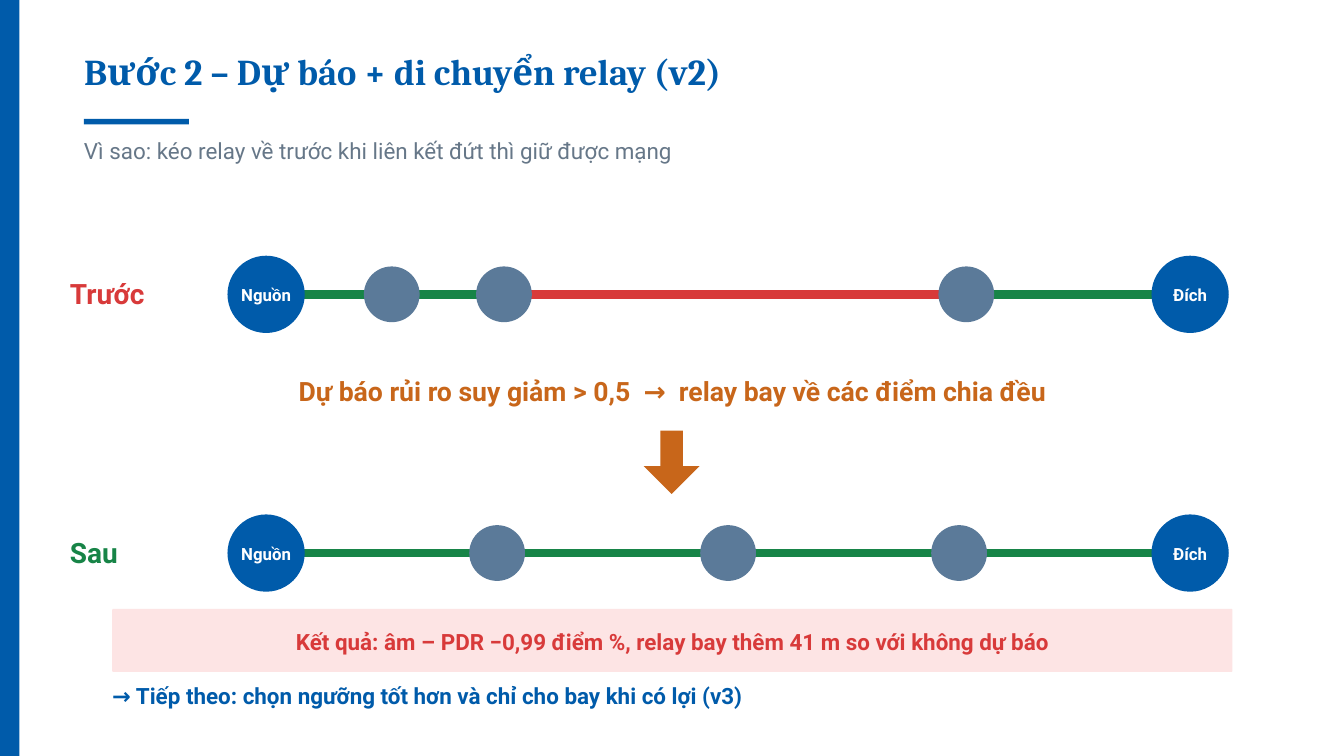
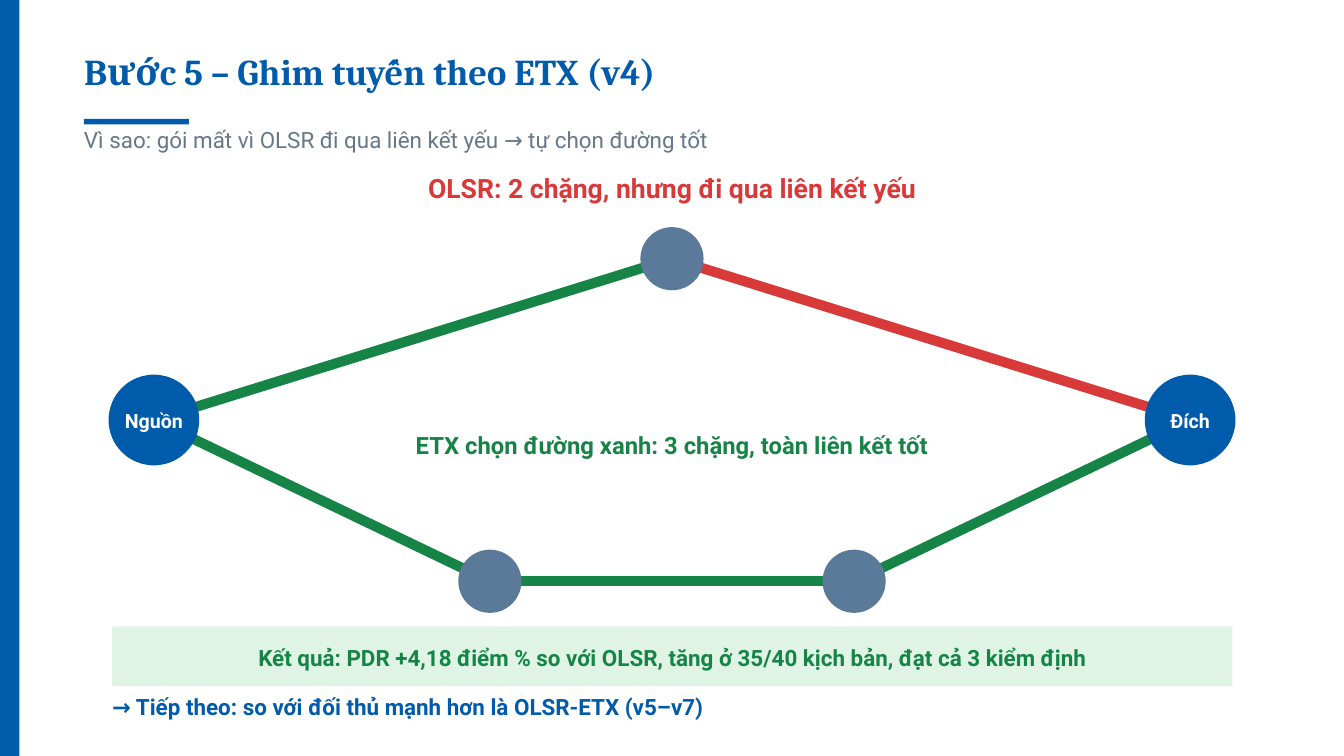
"""Builds two slides on relay forecasting and ETX route pinning in a mesh network."""
from lxml import etree
from pptx import Presentation
from pptx.dml.color import RGBColor
from pptx.enum import shapes, text
from pptx.oxml import ns
from pptx.util import Inches, Pt

BLUE = RGBColor(0x00, 0x5B, 0xAA)
SLATE = RGBColor(0x5B, 0x7A, 0x99)
GREY = RGBColor(0x66, 0x77, 0x88)
GREEN = RGBColor(0x17, 0x84, 0x47)
RED = RGBColor(0xD8, 0x3A, 0x3A)
ORANGE = RGBColor(0xC8, 0x66, 0x1A)
WHITE = RGBColor(0xFF, 0xFF, 0xFF)
PALE_RED = RGBColor(0xFD, 0xE4, 0xE4)
PALE_GREEN = RGBColor(0xDF, 0xF4, 0xE5)

HEAD_FONT, BODY_FONT = "Cambria", "Roboto"
WIDTH, HEIGHT = 20, 11.25
LEFT, INDENT, BAND_WIDTH = 1.25, 1.67, 16.67
SOURCE_X, TARGET_X = 3.96, 17.71
BEFORE_Y, AFTER_Y = 4.38, 8.23
EVEN_GAP = (TARGET_X - SOURCE_X) / 4
CENTER, START = text.PP_ALIGN.CENTER, text.PP_ALIGN.LEFT
SHAPE = shapes.MSO_SHAPE

FORECAST = {
    "title": "Bước 2 – Dự báo + di chuyển relay (v2)",
    "reason": ("Vì sao: kéo relay về trước khi liên kết đứt thì giữ được mạng", 1.97),
    "result": ("Kết quả: âm – PDR −0,99 điểm %, relay bay thêm 41 m so với không dự báo",
               9.06, 0.94, RED, PALE_RED),
    "next": ("→ Tiếp theo: chọn ngưỡng tốt hơn và chỉ cho bay khi có lợi (v3)", 10.09),
    "notes": [
        ("Trước", 1.04, 4.03, 2.08, 30, RED, START),
        ("Sau", 1.04, 7.89, 2.08, 30, GREEN, START),
        ("Dự báo rủi ro suy giảm > 0,5  →  relay bay về các điểm chia đều",
         INDENT, 5.5, BAND_WIDTH, 28.5, ORANGE, CENTER),
    ],
}
BEFORE_XS = [SOURCE_X, 5.83, 7.5, 14.38, TARGET_X]
BEFORE_LINKS = [GREEN, GREEN, RED, GREEN]
AFTER_XS = [SOURCE_X + EVEN_GAP * step for step in range(5)]
CHAIN_STYLE = {"end_size": 1.15, "relay_size": 0.83, "label_size": 18, "link_width": 9}

PINNING = {
    "title": "Bước 5 – Ghim tuyến theo ETX (v4)",
    "reason": ("Vì sao: gói mất vì OLSR đi qua liên kết yếu → tự chọn đường tốt", 1.81),
    "result": ("Kết quả: PDR +4,18 điểm % so với OLSR, tăng ở 35/40 kịch bản, đạt cả 3 kiểm định",
               9.32, 0.89, GREEN, PALE_GREEN),
    "next": ("→ Tiếp theo: so với đối thủ mạnh hơn là OLSR-ETX (v5–v7)", 10.25),
    "notes": [
        ("OLSR: 2 chặng, nhưng đi qua liên kết yếu", 4.27, 2.48, 11.46, 28.5, RED, CENTER),
        ("ETX chọn đường xanh: 3 chặng, toàn liên kết tốt",
         4.79, 6.34, 10.42, 25.5, GREEN, CENTER),
    ],
}
SOURCE, TARGET = (2.29, 6.25), (17.71, 6.25)
OLSR_ROUTE = [SOURCE, (10, 3.85), TARGET]
ETX_ROUTE = [SOURCE, (7.29, 8.65), (12.71, 8.65), TARGET]
ROUTE_STYLE = {"end_size": 1.35, "relay_size": 0.94, "label_size": 21, "link_width": 10.8}


def write(frame, words, size, color, align=START, bold=True, font=BODY_FONT, leading=1.4):
    frame.text = words
    frame.margin_left = frame.margin_right = frame.margin_top = frame.margin_bottom = 0
    frame.word_wrap = True
    paragraph = frame.paragraphs[0]
    paragraph.alignment = align
    paragraph.line_spacing = Pt(round(size * leading, 1))
    paragraph.space_before = Pt(0)
    style = paragraph.runs[0].font
    style.name, style.size, style.bold = font, Pt(size), bold
    style.color.rgb = color


def add_note(slide, words, left, top, width, size, color, align=START, bold=True):
    box = slide.shapes.add_textbox(*map(Inches, (left, top, width, size / 51)))
    write(box.text_frame, words, size, color, align, bold)


def add_block(slide, kind, left, top, width, height, color):
    block = slide.shapes.add_shape(kind, *map(Inches, (left, top, width, height)))
    block.shadow.inherit = False
    block.fill.solid()
    block.fill.fore_color.rgb = color
    block.line.fill.background()
    return block


def write_centered(block, words, size, color, wrap=True):
    frame = block.text_frame
    write(frame, words, size, color, CENTER)
    frame.vertical_anchor = text.MSO_ANCHOR.MIDDLE
    frame.margin_bottom = Inches(0.04)
    frame.word_wrap = wrap


def add_link(slide, start, end, color, width):
    link = slide.shapes.add_connector(
        shapes.MSO_CONNECTOR.STRAIGHT, *map(Inches, (*start, *end)))
    link.line.color.rgb = color
    link.line.width = Pt(width)
    etree.SubElement(link._element.spPr, ns.qn("a:effectLst"))


def add_network(slide, routes, end_size, relay_size, label_size, link_width):
    labels = {}
    for points, colors in routes:
        for start, end, color in zip(points, points[1:], colors):
            add_link(slide, start, end, color, link_width)
        labels.update(dict.fromkeys(points, ""))
        labels.update({points[0]: "Nguồn", points[-1]: "Đích"})
    for (x, y), label in labels.items():
        size, color = (end_size, BLUE) if label else (relay_size, SLATE)
        node = add_block(slide, SHAPE.OVAL, x - size / 2, y - size / 2, size, size, color)
        if label:
            write_centered(node, label, label_size, WHITE, wrap=False)


def add_step(deck, content):
    slide = deck.slides.add_slide(deck.slide_layouts[5])
    add_block(slide, SHAPE.RECTANGLE, 0, 0, 0.29, HEIGHT, BLUE)
    title = slide.shapes.title
    title.left, title.top, title.width, title.height = map(Inches, (LEFT, 0.78, 14.58, 0.62))
    write(title.text_frame, content["title"], 39, BLUE, font=HEAD_FONT, leading=1.12)
    title.text_frame.vertical_anchor = text.MSO_ANCHOR.TOP
    title.text_frame.auto_size = text.MSO_AUTO_SIZE.NONE
    add_block(slide, SHAPE.RECTANGLE, LEFT, 1.77, 1.56, 0.08, BLUE)

    reason, reason_top = content["reason"]
    add_note(slide, reason, LEFT, reason_top, BAND_WIDTH, 24, GREY, bold=False)
    for note in content["notes"]:
        add_note(slide, *note)

    result, top, height, color, tint = content["result"]
    band = add_block(slide, SHAPE.ROUNDED_RECTANGLE, INDENT, top, BAND_WIDTH, height, tint)
    band.adjustments[0] = 0.02
    write_centered(band, result, 24, color)
    following, next_top = content["next"]
    add_note(slide, following, INDENT, next_top, BAND_WIDTH, 24, BLUE)
    return slide


def main():
    deck = Presentation()
    deck.slide_width, deck.slide_height = Inches(WIDTH), Inches(HEIGHT)

    forecast = add_step(deck, FORECAST)
    add_network(forecast, [
        ([(x, BEFORE_Y) for x in BEFORE_XS], BEFORE_LINKS),
        ([(x, AFTER_Y) for x in AFTER_XS], [GREEN] * 4),
    ], **CHAIN_STYLE)
    arrow = add_block(forecast, SHAPE.DOWN_ARROW, 9.58, 6.41, 0.83, 0.94, ORANGE)
    arrow.adjustments[0], arrow.adjustments[1] = 0.4, 0.5

    pinning = add_step(deck, PINNING)
    add_network(pinning, [(OLSR_ROUTE, [GREEN, RED]), (ETX_ROUTE, [GREEN] * 3)], **ROUTE_STYLE)

    deck.save("out.pptx")


if __name__ == "__main__":
    main()
